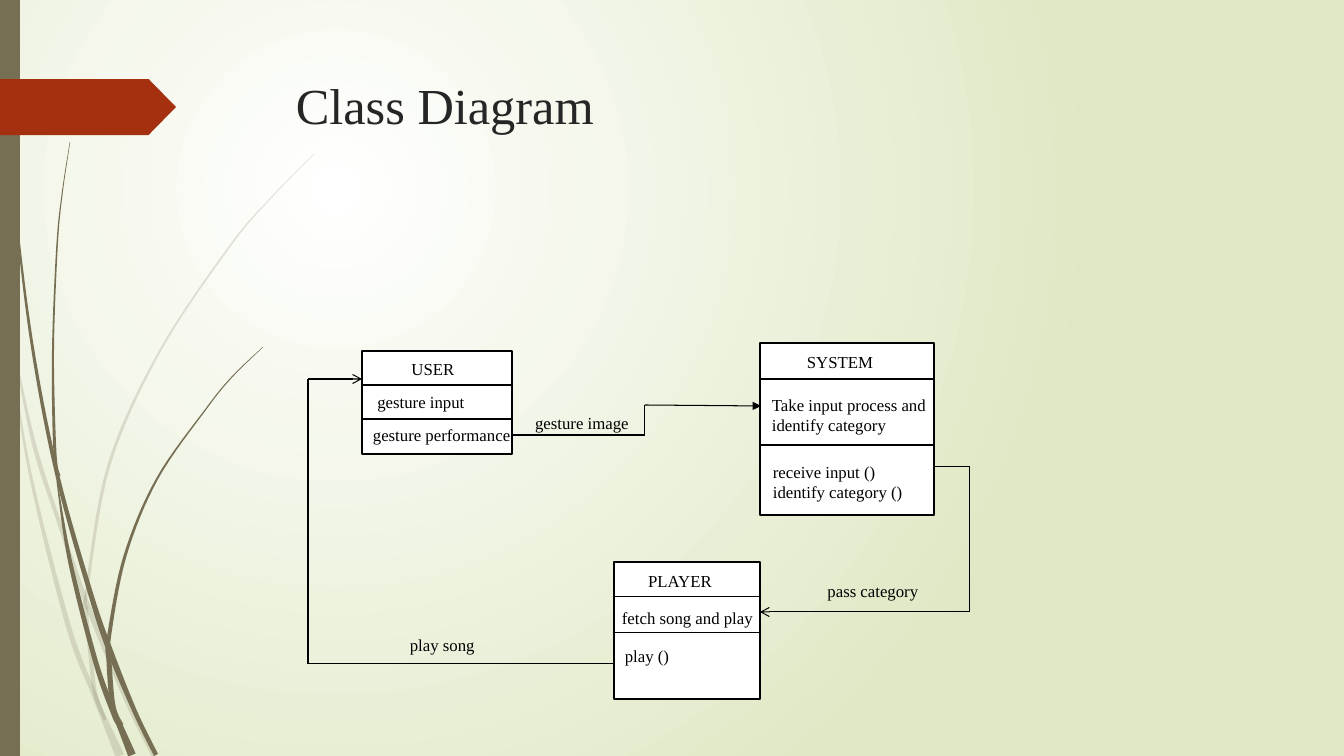
"""Build the class diagram slide."""
from dataclasses import dataclass
from itertools import pairwise
from math import hypot

from lxml import etree
from pptx import Presentation
from pptx import util as u
from pptx.dml.color import RGBColor
from pptx.enum import shapes, text
from pptx.oxml import ns

EMU_PER_PX = u.Inches(1) / 100.8
FONT = "Times New Roman"
BLACK = RGBColor(0x00, 0x00, 0x00)
WHITE = RGBColor(0xFF, 0xFF, 0xFF)
INK = RGBColor(0x26, 0x26, 0x26)
PALE_GREEN = RGBColor(0xDF, 0xE8, 0xC4)
OLIVE = RGBColor(0x76, 0x6F, 0x54)
RUST = RGBColor(0xA5, 0x30, 0x10)

Knot = tuple[int, int, float]
Point = tuple[int, int]


@dataclass(frozen=True)
class Blade:
    """A grass blade through knots of x, y and thickness."""
    knots: tuple[Knot, ...]
    opacity: int = 100


@dataclass(frozen=True)
class ClassBox:
    """A class rectangle and the heights of its dividers."""
    left: int
    top: int
    width: int
    height: int
    dividers: tuple[int, ...]


@dataclass(frozen=True)
class Route:
    """A bent line that ends in an arrowhead."""
    points: tuple[Point, ...]
    head: str = "arrow"


@dataclass(frozen=True)
class Label:
    """A block of diagram text."""
    words: str
    left: int
    top: int
    width: int
    height: int = 31
    centred: bool = True


BLADES = (
    Blade(((14, 348, 1), (34, 444, 4), (60, 525, 4), (87, 604, 5), (126, 699, 4.5), (154, 756, 4.5)), 20),
    Blade(((11, 353, 1), (30, 473, 3), (68, 625, 5), (94, 694, 5), (105, 721, 6), (120, 756, 9)), 20),
    Blade(((314, 154, 0.5), (270, 199, 1), (230, 246, 1.6), (160, 351, 2), (109, 465, 3),
           (87, 589, 3), (86, 610, 4), (90, 650, 4), (95, 692, 4), (105, 720, 3)), 20),
    Blade(((3, 0, 1), (7, 110, 1), (18, 234, 2), (34, 357, 3), (58, 478, 4),
           (91, 595, 5), (110, 651, 6), (135, 712, 4.5), (156, 755, 4.5))),
    Blade(((57, 481, 1), (70, 561, 4), (96, 663, 5), (114, 713, 6), (120, 726, 6), (132, 755, 8))),
    Blade(((70, 142, 0.5), (62, 195, 1), (57, 247, 1.5), (53, 352, 2), (55, 453, 3), (60, 476, 1))),
    Blade(((263, 347, 0.5), (232, 377, 1), (206, 409, 1.2), (157, 479, 2), (125, 556, 3),
           (109, 637, 4), (109, 661, 5), (113, 706, 5), (122, 725, 3))),
)
CLASS_BOXES = (
    ClassBox(362, 351, 150, 103, (385, 419)),
    ClassBox(760, 343, 174, 172, (379, 445)),
    ClassBox(614, 562, 146, 137, (597, 633)),
)
ROUTES = (
    Route(((512, 435), (645, 435), (645, 405), (761, 406)), "triangle"),
    Route(((934, 467), (970, 467), (970, 612), (760, 612))),
    Route(((614, 664), (308, 664), (308, 379), (362, 379))),
)
LABELS = (
    Label("USER", 358, 354, 150),
    Label("gesture input", 346, 387, 150),
    Label("gesture performance", 363, 420, 171, 33, False),
    Label("gesture image", 507, 408, 150),
    Label("SYSTEM", 765, 347, 150),
    Label("Take input process and identify category", 762, 390, 178, 65, False),
    Label("receive input ()\nidentify category ()", 763, 457, 168, 67, False),
    Label("PLAYER", 605, 566, 150),
    Label("fetch song and play", 599, 603, 177, 36),
    Label("play ()", 615, 641, 150, centred=False),
    Label("pass category", 798, 576, 150),
    Label("play song", 400, 630, 150, centred=False),
)


def px(length: float) -> u.Emu:
    """Turn px into EMU."""
    return u.Emu(round(length * EMU_PER_PX))


def paint_background(page) -> None:
    """Fill the page with a round gradient."""
    fill = page.background.fill
    fill.gradient()
    for stop, position, colour in zip(fill.gradient_stops, (0, 1), (WHITE, PALE_GREEN)):
        stop.position = position
        stop.color.rgb = colour
    gradient = page.element.find(".//" + ns.qn("a:gradFill"))
    gradient.remove(gradient.find(ns.qn("a:lin")))
    circle = etree.SubElement(gradient, ns.qn("a:path"), path="circle")
    etree.SubElement(circle, ns.qn("a:fillToRect"), l="50000", t="50000", r="100000", b="100000")


def smooth(knots: tuple[Knot, ...], steps: int = 8) -> list[tuple[float, ...]]:
    """Sample a Catmull-Rom curve through the knots."""
    padded = (knots[0], *knots, knots[-1])
    samples = []
    for before, start, end, after in zip(padded, padded[1:], padded[2:], padded[3:]):
        for step in range(steps):
            t = step / steps
            samples.append(tuple(
                b + t * (c - a + t * (2 * a - 5 * b + 4 * c - d + t * (3 * b - a - 3 * c + d))) / 2
                for a, b, c, d in zip(before, start, end, after)))
    return samples + [knots[-1]]


def draw_blade(page, blade: Blade) -> None:
    """Draw a tapered blade around its curve."""
    samples = smooth(blade.knots)
    near, far = [], []
    for index, (x, y, thickness) in enumerate(samples):
        before, after = samples[max(index - 1, 0)], samples[min(index + 1, len(samples) - 1)]
        run, rise = after[0] - before[0], after[1] - before[1]
        reach = thickness / 2 / hypot(run, rise)
        near.append((px(x - rise * reach), px(y + run * reach)))
        far.append((px(x + rise * reach), px(y - run * reach)))
    outline = near + far[::-1]
    builder = page.shapes.build_freeform(*outline[0], scale=1.0)
    builder.add_line_segments(outline[1:], close=True)
    shape = builder.convert_to_shape()
    style(shape, OLIVE)
    if blade.opacity < 100:
        colour = shape.fill._xPr.find(".//" + ns.qn("a:srgbClr"))
        etree.SubElement(colour, ns.qn("a:alpha"), val=str(blade.opacity * 1000))


def style(shape, fill: RGBColor, outlined: bool = False) -> None:
    """Set a flat fill and an optional black outline."""
    shape.shadow.inherit = False
    shape.fill.solid()
    shape.fill.fore_color.rgb = fill
    if outlined:
        shape.line.color.rgb = BLACK
        shape.line.width = u.Pt(1)
    else:
        shape.line.fill.background()


def add_block(page, kind, left: int, top: int, width: int, height: int, fill: RGBColor, outlined: bool = False):
    """Add a styled preset shape."""
    shape = page.shapes.add_shape(kind, px(left), px(top), px(width), px(height))
    style(shape, fill, outlined)
    return shape


def draw_line(page, start: Point, end: Point, head: str = "") -> None:
    """Draw a thin straight line with an optional arrowhead."""
    line = page.shapes.add_connector(shapes.MSO_CONNECTOR.STRAIGHT, *map(px, start + end))
    line.line.color.rgb = BLACK
    line.line.width = u.Pt(0.75)
    if head:
        etree.SubElement(line.line._get_or_add_ln(), ns.qn("a:tailEnd"), type=head)
    etree.SubElement(line._element.spPr, ns.qn("a:effectLst"))


def write(page, words: str, left: int, top: int, width: int, height: int, *,
          size: int = 12, colour: RGBColor = BLACK, centred: bool = False) -> None:
    """Write text in a wrapping box, one paragraph per line."""
    box = page.shapes.add_textbox(px(left), px(top), px(width), px(height))
    frame = box.text_frame
    frame.word_wrap = True
    frame.text = words
    for para in frame.paragraphs:
        para.alignment = text.PP_ALIGN.CENTER if centred else text.PP_ALIGN.LEFT
        for span in para.runs:
            span.font.name = FONT
            span.font.size = u.Pt(size)
            span.font.color.rgb = colour


def main() -> None:
    """Build and save the deck."""
    deck = Presentation()
    deck.slide_width, deck.slide_height = px(1344), px(756)
    page = deck.slides.add_slide(deck.slide_layouts[6])
    paint_background(page)
    for blade in BLADES:
        draw_blade(page, blade)
    add_block(page, shapes.MSO_SHAPE.RECTANGLE, 0, 0, 20, 756, OLIVE)
    tab = add_block(page, shapes.MSO_SHAPE.PENTAGON, 0, 79, 176, 56, RUST)
    tab.adjustments[0] = 0.49
    write(page, "Class Diagram", 286, 69, 983, 141, size=36, colour=INK)
    for item in CLASS_BOXES:
        add_block(page, shapes.MSO_SHAPE.FLOWCHART_PROCESS,
                  item.left, item.top, item.width, item.height, WHITE, outlined=True)
        for height in item.dividers:
            draw_line(page, (item.left, height), (item.left + item.width, height))
    for route in ROUTES:
        legs = list(pairwise(route.points))
        for leg in legs:
            draw_line(page, *leg, head=route.head if leg == legs[-1] else "")
    for label in LABELS:
        write(page, label.words, label.left, label.top, label.width, label.height, centred=label.centred)
    deck.save("out.pptx")


if __name__ == "__main__":
    main()
